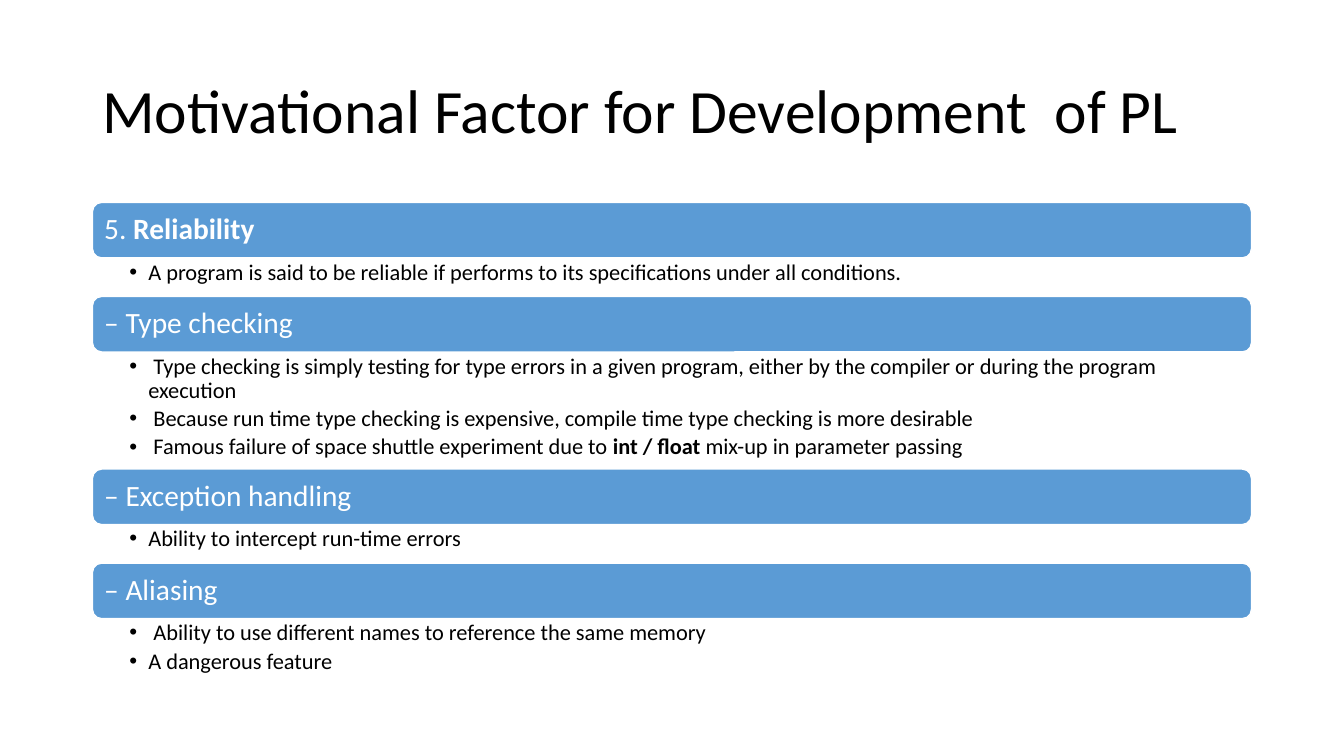
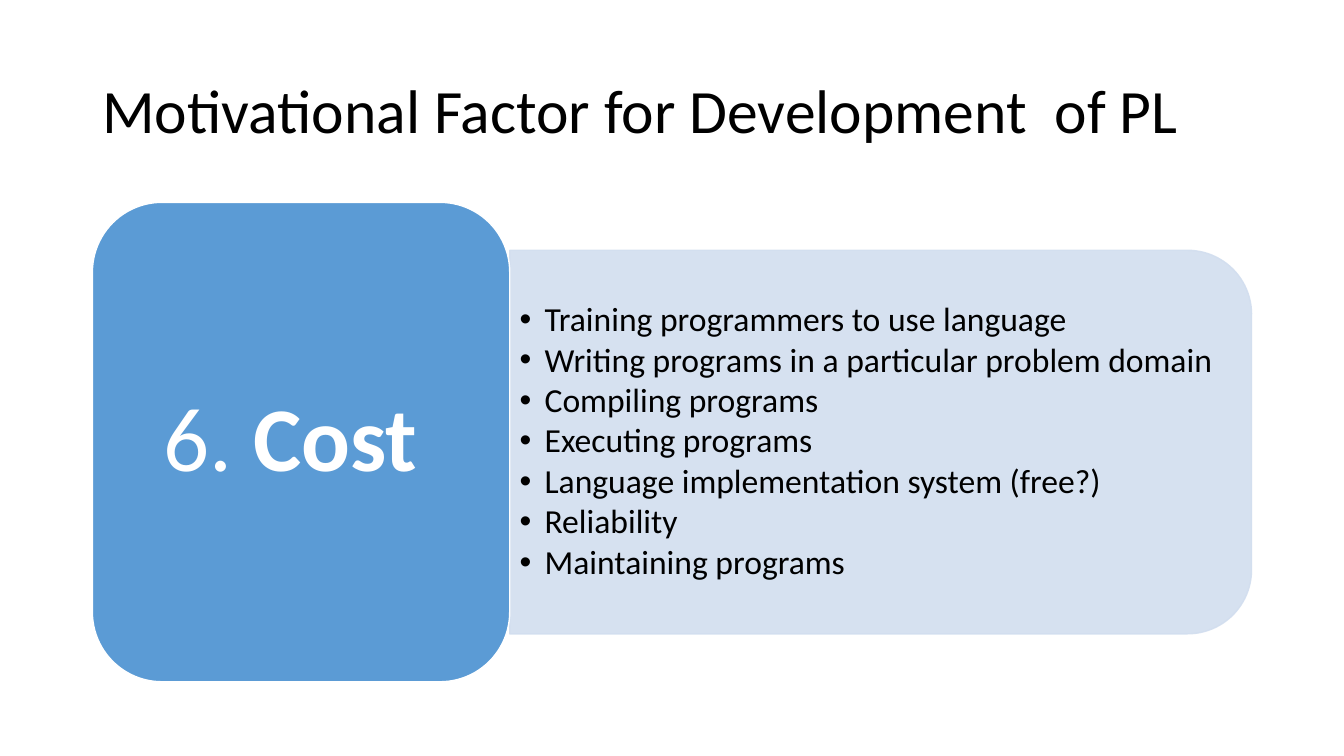
"""Build two slides on what motivates the development of programming languages."""
from dataclasses import dataclass

from lxml import etree
from pptx import Presentation
from pptx import util as u
from pptx.dml.color import RGBColor
from pptx.enum import shapes, text
from pptx.oxml.ns import qn


@dataclass(frozen=True)
class Theme:
    """Colours and type sizes shared by the slides."""
    font: str = "Calibri"
    ink: str = "000000"
    paper: str = "FFFFFF"
    accent: str = "5B9BD5"
    tint: str = "D2DEEF"
    title: int = 44
    bar: int = 21
    detail: int = 16
    tile: int = 65
    item: int = 24


@dataclass(frozen=True)
class Box:
    """A rectangle in centimetres."""
    left: float
    top: float
    width: float
    height: float

    def lengths(self):
        """Return the four measures as slide lengths."""
        return [u.Cm(n) for n in (self.left, self.top, self.width, self.height)]


THEME = Theme()
TITLE = "Motivational Factor for Development  of PL"
TITLE_BOX = Box(2.33, 1.01, 29.21, 3.68)
BODY_BOX = Box(2.33, 5.1, 29.21, 12.08)
BAR_HEIGHT = 1.4

# Text between asterisks is bold.
SECTIONS = [
    ("5. *Reliability*", 0.97, [
        "A program is said to be reliable if performs to its specifications under all conditions."]),
    ("– Type checking", 2.95, [
        " Type checking is simply testing for type errors in a given program, "
        "either by the compiler or during the program execution",
        " Because run time type checking is expensive, compile time type checking is more desirable",
        " Famous failure of space shuttle experiment due to *int / float *mix-up in parameter passing"]),
    ("– Exception handling", 0.97, ["Ability to intercept run-time errors"]),
    ("– Aliasing", 1.55, [
        " Ability to use different names to reference the same memory",
        "A dangerous feature"]),
]
COSTS = [
    "Training programmers to use language",
    "Writing programs in a particular problem domain",
    "Compiling programs",
    "Executing programs",
    "Language implementation system (free?)",
    "Reliability",
    "Maintaining programs",
]


def add_bullet(para, indent):
    """Give a paragraph a round bullet with a hanging indent."""
    props = para._p.get_or_add_pPr()
    props.set("marL", str(u.Cm(indent)))
    props.set("indent", str(-u.Cm(indent)))
    etree.SubElement(props, qn("a:buFont")).set("typeface", "Arial")
    etree.SubElement(props, qn("a:buChar")).set("char", "•")


def write(shape, lines, size, color, insets=(0.25, 0.13, 0.25, 0.13),
          anchor=text.MSO_ANCHOR.MIDDLE, align=text.PP_ALIGN.LEFT, bullet=None):
    """Fill a shape with styled paragraphs."""
    frame = shape.text_frame
    frame.word_wrap = True
    frame.vertical_anchor = anchor
    (frame.margin_left, frame.margin_top,
     frame.margin_right, frame.margin_bottom) = [u.Cm(n) for n in insets]
    for index, line in enumerate(lines):
        para = frame.add_paragraph() if index else frame.paragraphs[0]
        para.alignment = align
        para.line_spacing = 0.9
        if bullet:
            add_bullet(para, bullet)
            para.space_after = u.Pt(3)
        for part, words in enumerate(line.split("*")):
            if words:
                span = para.add_run()
                span.text = words
                span.font.name = THEME.font
                span.font.size = u.Pt(size)
                span.font.bold = part % 2 == 1
                span.font.color.rgb = RGBColor.from_string(color)


def add_block(page, kind, box, fill, line):
    """Add a filled preset shape with a thin outline."""
    block = page.shapes.add_shape(kind, *box.lengths())
    block.shadow.inherit = False
    block.fill.solid()
    block.fill.fore_color.rgb = RGBColor.from_string(fill)
    block.line.color.rgb = RGBColor.from_string(line)
    block.line.width = u.Pt(1)
    return block


def add_page(deck):
    """Add a blank slide with the shared title."""
    page = deck.slides.add_slide(deck.slide_layouts[6])
    write(page.shapes.add_textbox(*TITLE_BOX.lengths()), [TITLE], THEME.title, THEME.ink)
    return page


def add_sections(page, box, sections):
    """Stack header bars, each followed by its bullets."""
    top = box.top
    for heading, height, details in sections:
        bar = add_block(page, shapes.MSO_SHAPE.ROUNDED_RECTANGLE,
                        Box(box.left, top, box.width, BAR_HEIGHT), THEME.accent, THEME.paper)
        write(bar, [heading], THEME.bar, THEME.paper, (0.23,) * 4)
        top += BAR_HEIGHT
        body = page.shapes.add_textbox(*Box(box.left, top, box.width, height).lengths())
        write(body, details, THEME.detail, THEME.ink, (0.93, 0.07, 0.4, 0.07),
              text.MSO_ANCHOR.TOP, bullet=0.48)
        top += height


def add_panel(page, box, items):
    """Add a tinted panel rounded on the right, with bullets."""
    turned = Box(box.left + (box.width - box.height) / 2,
                 box.top + (box.height - box.width) / 2, box.height, box.width)
    panel = add_block(page, shapes.MSO_SHAPE.ROUND_2_SAME_RECTANGLE, turned,
                      THEME.tint, THEME.tint)
    panel.rotation = 90
    for color in panel._element.spPr.iter(qn("a:srgbClr")):
        etree.SubElement(color, qn("a:alpha")).set("val", "90000")
    label = page.shapes.add_textbox(
        *Box(box.left, box.top, box.width - 0.48, box.height).lengths())
    write(label, items, THEME.item, THEME.ink, bullet=0.63)


def add_tile_and_panel(page, box, heading, items):
    """Set a large heading tile beside a panel of bullets."""
    tile_width = 0.36 * box.width
    add_panel(page, Box(box.left + tile_width, box.top + 0.1 * box.height,
                        box.width - tile_width, 0.8 * box.height), items)
    tile = add_block(page, shapes.MSO_SHAPE.ROUNDED_RECTANGLE,
                     Box(box.left, box.top, tile_width, box.height),
                     THEME.accent, THEME.paper)
    write(tile, [heading], THEME.tile, THEME.paper, (0.69, 0.35, 0.69, 0.35),
          align=text.PP_ALIGN.CENTER)


def main():
    """Build and save the deck."""
    deck = Presentation()
    deck.slide_width, deck.slide_height = u.Cm(33.87), u.Cm(19.05)
    add_sections(add_page(deck), BODY_BOX, SECTIONS)
    add_tile_and_panel(add_page(deck), BODY_BOX, "6. *Cost *", COSTS)
    deck.save("out.pptx")


if __name__ == "__main__":
    main()
